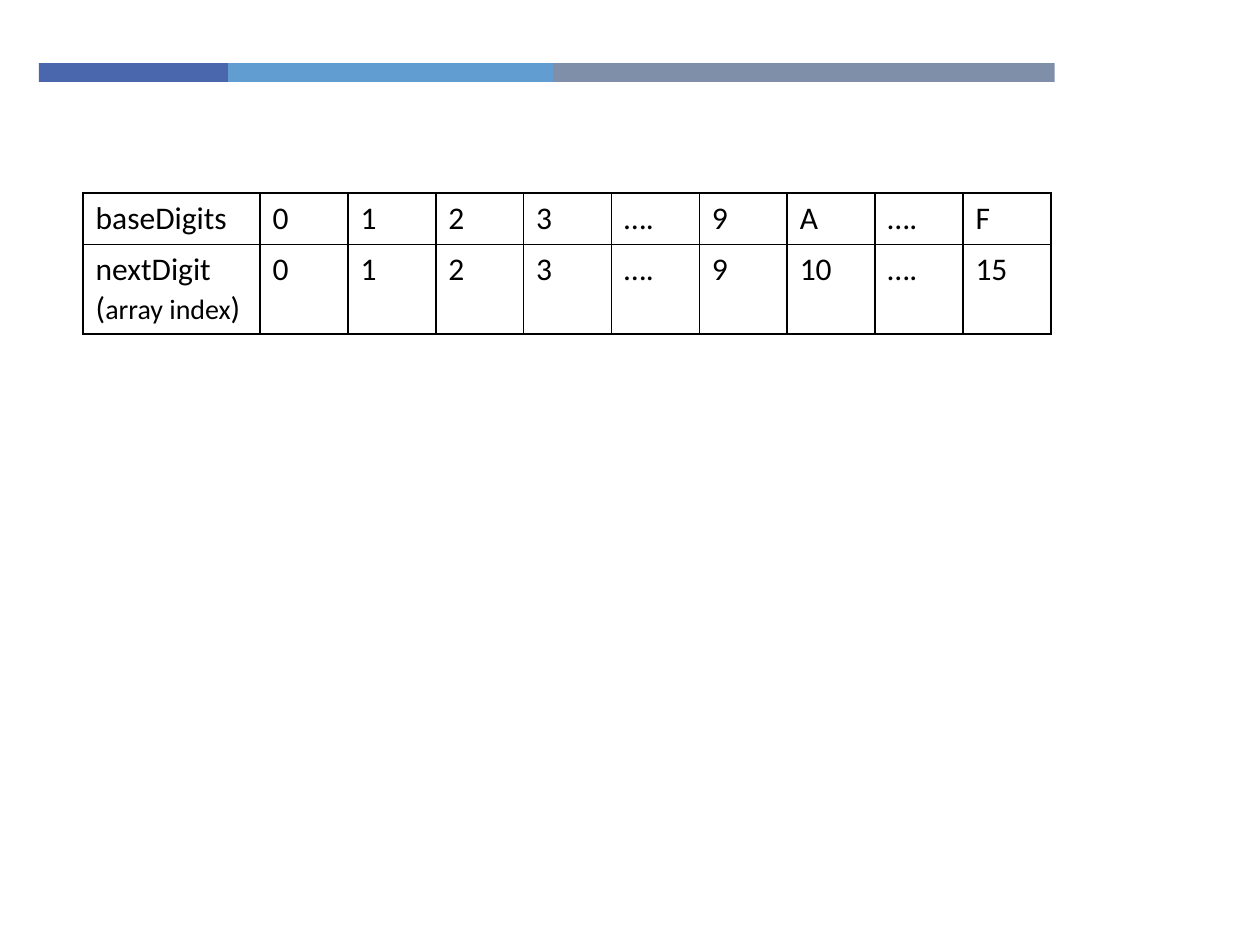
from lxml import etree
from pptx import Presentation
from pptx import util as u
from pptx.dml.color import RGBColor
from pptx.enum import shapes
from pptx.oxml import ns

WIDE, HIGH = u.Inches(10), u.Inches(7.5)
BLACK = RGBColor(0, 0, 0)
NAVY = RGBColor(0x4A, 0x66, 0xAC)
SKY = RGBColor(0x62, 0x9D, 0xD1)
SLATE = RGBColor(0x7F, 0x8F, 0xA9)

BANDS = [(1.5, NAVY), (2.58, SKY), (3.98, SLATE)]
ROWS = [
    ["baseDigits", "0", "1", "2", "3", "….", "9", "A", "….", "F"],
    ["nextDigit\n", "0", "1", "2", "3", "….", "9", "10", "….", "15"],
]
INDEX = [("(", 18), ("array index", 16), (")", 18)]
COLS = [1.41] + [0.7] * 9
TALLS = [0.41, 0.7]


def share(left, top, width, height):
    return [round(WIDE * left), round(HIGH * top),
            round(WIDE * width), round(HIGH * height)]


def split(size, parts):
    return [round(size * part / sum(parts)) for part in parts]


def draw_bar(slide, box):
    left, top, width, height = box
    sizes = split(width, [part for part, _ in BANDS])
    for size, (_, color) in zip(sizes, BANDS):
        band = slide.shapes.add_shape(
            shapes.MSO_SHAPE.RECTANGLE, left, top, size, height)
        band.shadow.inherit = False
        band.fill.solid()
        band.fill.fore_color.rgb = color
        band.line.fill.background()
        left += size


def style(run, size=18):
    run.font.name = "Calibri"
    run.font.size = u.Pt(size)
    run.font.color.rgb = BLACK


def frame(cell):
    props = cell._tc.get_or_add_tcPr()
    for side in ("a:lnL", "a:lnR", "a:lnT", "a:lnB"):
        line = etree.SubElement(props, ns.qn(side), w=str(u.Pt(1)))
        fill = etree.SubElement(line, ns.qn("a:solidFill"))
        etree.SubElement(fill, ns.qn("a:srgbClr"), val=str(BLACK))
    cell.fill.background()


def draw_grid(slide, box):
    grid = slide.shapes.add_table(len(ROWS), len(COLS), *box).table
    grid.first_row = grid.horz_banding = False
    for col, size in zip(grid.columns, split(box[2], COLS)):
        col.width = size
    for row, size in zip(grid.rows, split(box[3], TALLS)):
        row.height = size
    for row, words in zip(grid.rows, ROWS):
        for cell, word in zip(row.cells, words):
            cell.text_frame.text = word
            for para in cell.text_frame.paragraphs:
                for run in para.runs:
                    style(run)
            frame(cell)
    note = grid.cell(1, 0).text_frame.paragraphs[1]
    for word, size in INDEX:
        run = note.add_run()
        run.text = word
        style(run, size)


def main():
    deck = Presentation()
    deck.slide_width, deck.slide_height = WIDE, HIGH
    slide = deck.slides.add_slide(deck.slide_layouts[6])
    draw_bar(slide, share(0.031, 0.5 / 7.5, 0.806, 0.02))
    draw_grid(slide, share(0.066, 1.53 / 7.5, 0.768, 1.11 / 7.5))
    deck.save("out.pptx")


if __name__ == "__main__":
    main()
